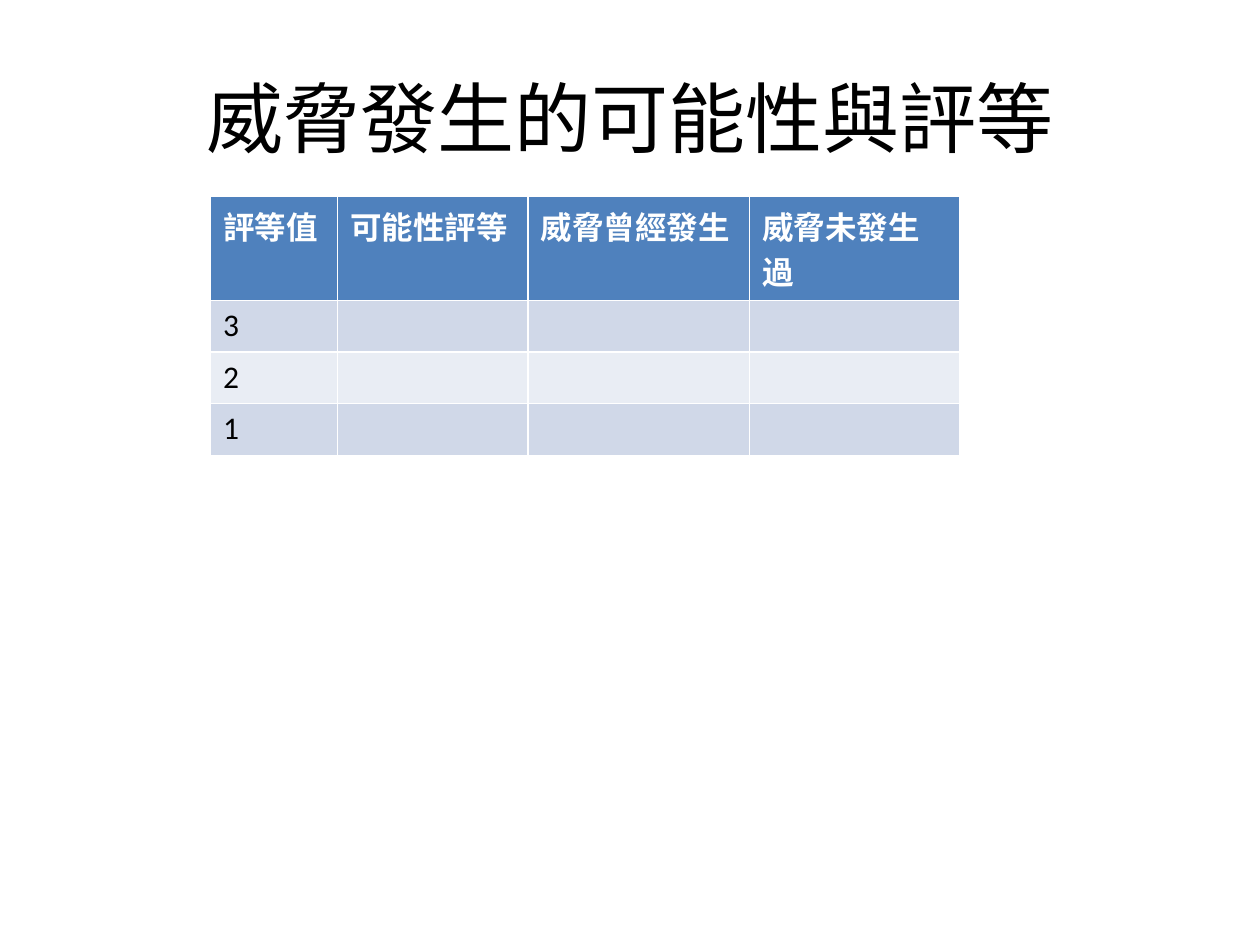
import pptx
import pptx.dml.color
import pptx.enum.text
import pptx.util
from pptx.util import Inches

FONT = "Calibri"
HEADER_FILL = "4F81BD"
BAND_FILLS = ("D0D8E8", "E9EDF4")
HEADERS = ("評等值", "可能性評等", "威脅曾經發生", "威脅未發生過")
RATINGS = ("3", "2", "1")
COLUMN_WIDTHS = (1.01, 1.51, 1.76, 1.67)


def color(hex_string):
    return pptx.dml.color.RGBColor.from_string(hex_string)


def style_font(paragraph, size, hex_string, bold=False):
    font = paragraph.font
    font.name = FONT
    font.size = pptx.util.Pt(size)
    font.bold = bold
    font.color.rgb = color(hex_string)


def place_title(slide, left, top, width, height):
    title = slide.shapes.title
    title.left, title.top = Inches(left), Inches(top)
    title.width, title.height = Inches(width), Inches(height)
    title.text_frame.text = "威脅發生的可能性與評等"
    title.text_frame.vertical_anchor = pptx.enum.text.MSO_ANCHOR.MIDDLE
    heading = title.text_frame.paragraphs[0]
    heading.alignment = pptx.enum.text.PP_ALIGN.CENTER
    style_font(heading, 44, "000000")


def place_rating_table(slide, left, top, row_height):
    rows = [HEADERS] + [(rating, "", "", "") for rating in RATINGS]
    # White rules come from the default table style
    ratings = slide.shapes.add_table(
        len(rows), len(HEADERS), Inches(left), Inches(top),
        Inches(sum(COLUMN_WIDTHS)), Inches(row_height * len(rows))).table

    for column, width in zip(ratings.columns, COLUMN_WIDTHS):
        column.width = Inches(width)

    for r, texts in enumerate(rows):
        ratings.rows[r].height = Inches(row_height)
        is_header = r == 0
        fill = HEADER_FILL if is_header else BAND_FILLS[(r - 1) % 2]
        for c, text in enumerate(texts):
            cell = ratings.cell(r, c)
            cell.fill.solid()
            cell.fill.fore_color.rgb = color(fill)
            cell.text = text
            style_font(cell.text_frame.paragraphs[0], 18,
                       "FFFFFF" if is_header else "000000", is_header)


def main():
    deck = pptx.Presentation()
    deck.slide_width, deck.slide_height = Inches(10), Inches(7.5)
    slide = deck.slides.add_slide(deck.slide_layouts[5])
    place_title(slide, 0.5, 0.3, 9, 1.25)
    place_rating_table(slide, 1.67, 1.56, 0.41)
    deck.save("out.pptx")


if __name__ == "__main__":
    main()
